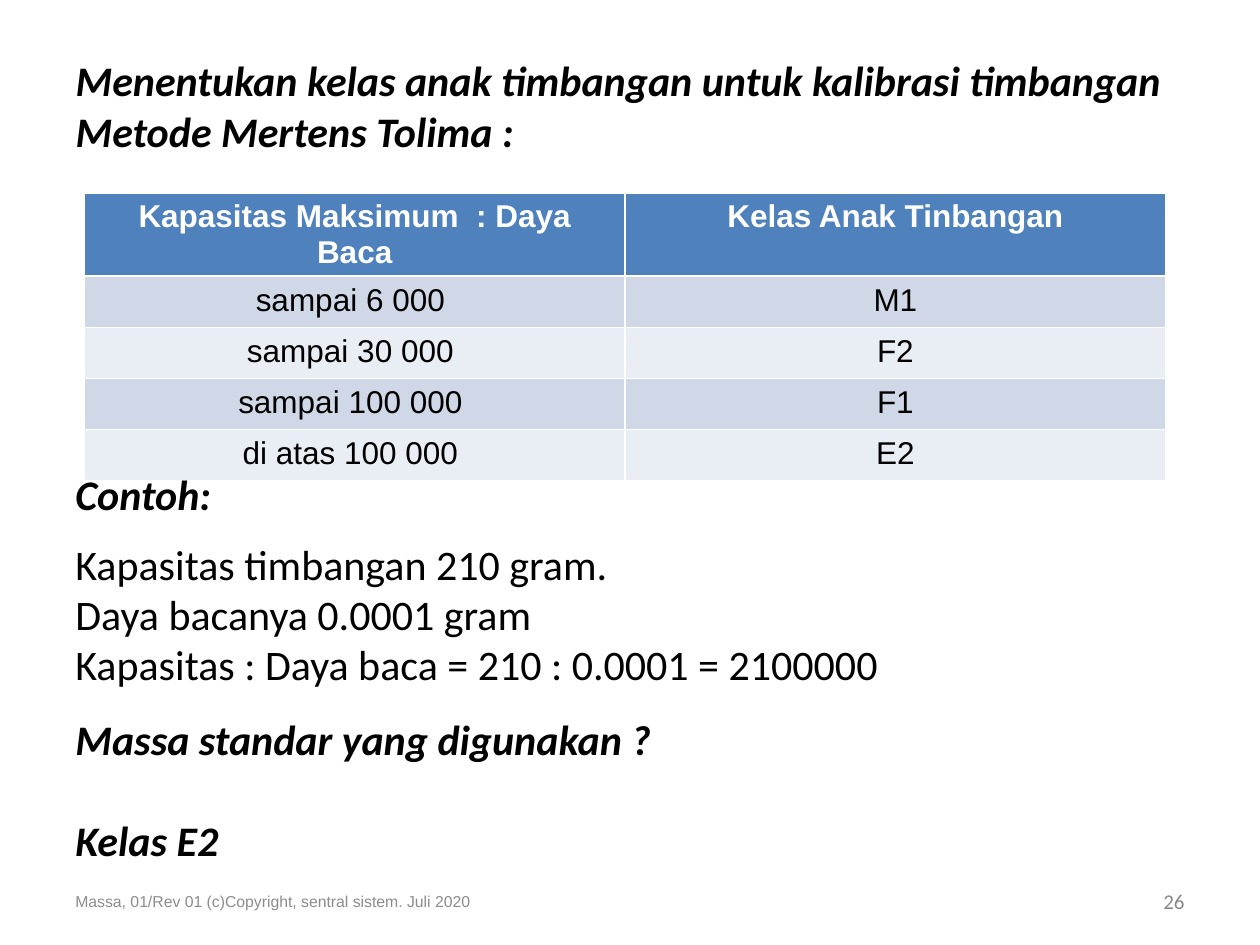
from pptx import Presentation, util as u
from pptx.dml.color import RGBColor
from pptx.enum import text as t

COLORS = {
    "ink": "000000", "header": "4F81BD", "header_text": "FFFFFF",
    "band_dark": "D0D8E8", "band_light": "E9EDF4",
    "footer": "8C8C8C", "number": "898989",
}
LEFT, WIDTH = u.Cm(1.27), u.Cm(22.86)


def style(paragraph, size, font, color, bold=False, italic=False, align=t.PP_ALIGN.LEFT):
    paragraph.alignment = align
    for run in paragraph.runs:
        run.font.size = u.Pt(size)
        run.font.name = font
        run.font.bold = bold
        run.font.italic = italic
        run.font.color.rgb = RGBColor.from_string(COLORS[color])


def add_text(left, top, width, height, content, anchor=t.MSO_ANCHOR.TOP):
    frame = slide.shapes.add_textbox(left, top, width, height).text_frame
    frame.word_wrap = True
    frame.vertical_anchor = anchor
    frame.text = content
    return frame.paragraphs


prs = Presentation()
prs.slide_width, prs.slide_height = u.Cm(25.4), u.Cm(19.05)
slide = prs.slides.add_slide(prs.slide_layouts[5])

# Title
title = slide.shapes.title
title.left, title.top, title.width, title.height = LEFT, u.Cm(0.43), WIDTH, u.Cm(3.38)
title.text_frame.text = ("Menentukan kelas anak timbangan untuk kalibrasi timbangan\v"
                         "Metode Mertens Tolima :")
title.text_frame.auto_size = t.MSO_AUTO_SIZE.NONE
title.text_frame.vertical_anchor = t.MSO_ANCHOR.MIDDLE
style(title.text_frame.paragraphs[0], 24, "Calibri", "ink", bold=True, italic=True)

# Weight classes by ratio of capacity to readability
classes = [
    ("Kapasitas Maksimum  : Daya Baca", "Kelas Anak Tinbangan"),
    ("sampai 6 000 ", "M1"),
    ("sampai 30 000 ", "F2"),
    ("sampai 100 000 ", "F1"),
    ("di atas 100 000 ", "E2"),
]
class_table = slide.shapes.add_table(
    len(classes), 2, u.Cm(1.7), u.Cm(3.89), u.Cm(21.8), u.Cm(5.15)).table
for r, row in enumerate(classes):
    is_header = r == 0
    fill = "header" if is_header else "band_dark" if r % 2 else "band_light"
    for c, value in enumerate(row):
        cell = class_table.cell(r, c)
        cell.text = value
        cell.fill.solid()
        cell.fill.fore_color.rgb = RGBColor.from_string(COLORS[fill])
        style(cell.text_frame.paragraphs[0], 18, "Arial",
              "header_text" if is_header else "ink",
              bold=is_header, align=t.PP_ALIGN.CENTER)

# Worked example
example = add_text(LEFT, u.Cm(9.32), WIDTH, u.Cm(1.7),
                   "Contoh:\n"
                   "Kapasitas timbangan 210 gram.\n"
                   "Daya bacanya 0.0001 gram\n"
                   "Kapasitas : Daya baca = 210 : 0.0001 = 2100000")
for i, line in enumerate(example):
    style(line, 24, "Calibri", "ink", bold=i == 0, italic=i == 0)
example[1].space_before = u.Pt(11)

# Question and answer
answer = add_text(LEFT, u.Cm(14.25), WIDTH, u.Cm(1.7),
                  "Massa standar yang digunakan ?\nKelas E2")
for line in answer:
    style(line, 24, "Calibri", "ink", bold=True, italic=True)
answer[1].space_before = u.Pt(29)

# Footer and page number
footer = add_text(LEFT, u.Cm(17.65), u.Cm(8.89), u.Cm(1.02),
                  "Massa, 01/Rev 01 (c)Copyright, sentral sistem. Juli 2020",
                  t.MSO_ANCHOR.MIDDLE)
style(footer[0], 9, "Arial", "footer")
number = add_text(u.Cm(18.21), u.Cm(17.65), u.Cm(5.92), u.Cm(1.02), "26",
                  t.MSO_ANCHOR.MIDDLE)
style(number[0], 12, "Calibri", "number", align=t.PP_ALIGN.RIGHT)

prs.save("out.pptx")
